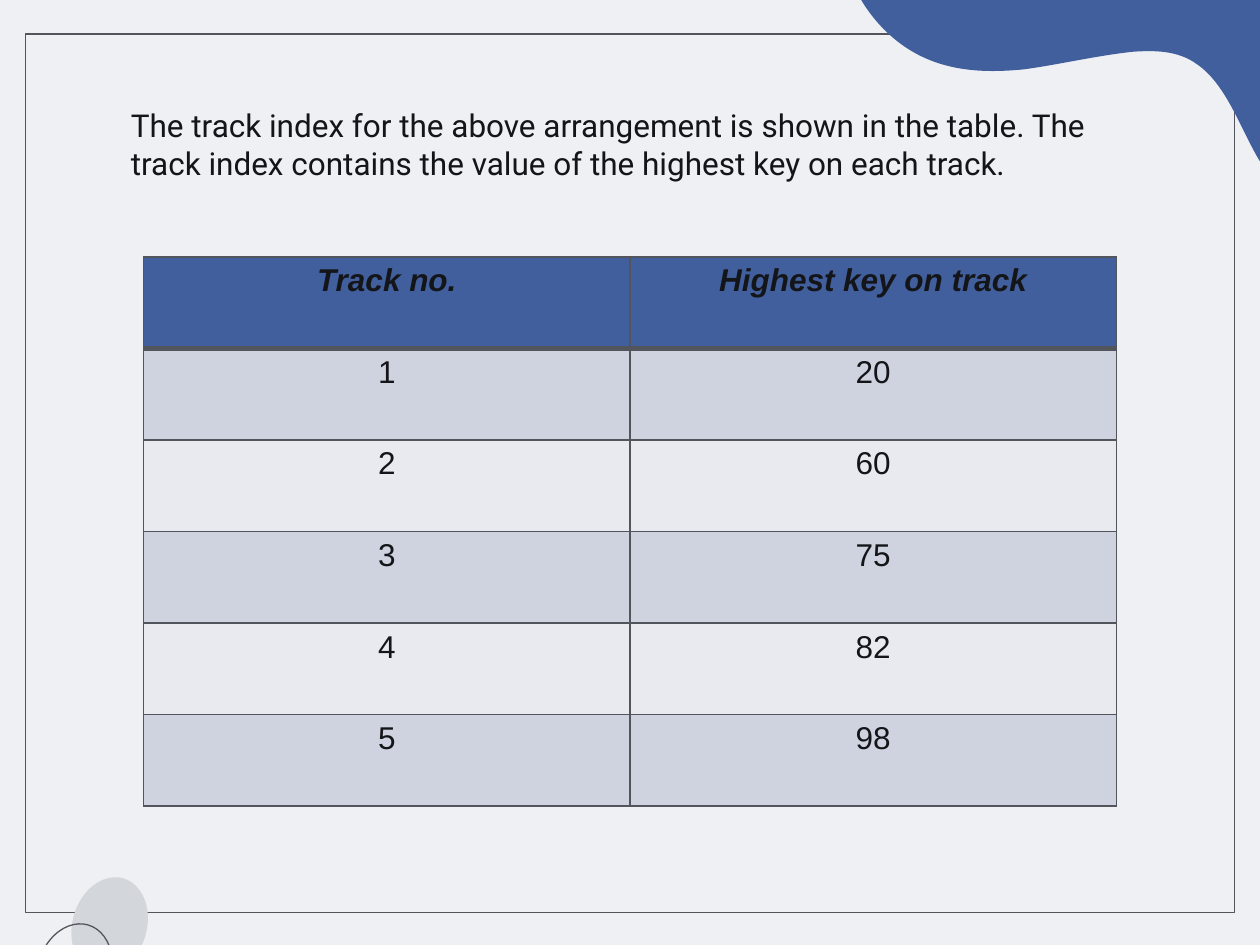
"""Build a slide showing a track index table inside a decorated frame."""
import pptx
import pptx.util
import pptx.dml.color
import pptx.enum.shapes
import pptx.enum.text
import pptx.oxml
import lxml.etree

PX = 9144
RGBColor = pptx.dml.color.RGBColor
BACKGROUND = RGBColor(0xEF, 0xF0, 0xF4)
INK = RGBColor(0x13, 0x15, 0x18)
BLUE = RGBColor(0x42, 0x5F, 0x9D)
OUTLINE = RGBColor(0x52, 0x55, 0x5C)
GREY = RGBColor(0xD3, 0xD6, 0xDB)
BAND_DARK = RGBColor(0xCF, 0xD2, 0xDF)
BAND_LIGHT = RGBColor(0xE9, 0xEA, 0xEF)
NAMESPACE = "http://schemas.openxmlformats.org/drawingml/2006/main"


def write_text(frame, text, font="Arial", align=None, emphasis=False):
    paragraph = frame.paragraphs[0]
    paragraph.alignment = align
    run = paragraph.add_run()
    run.text = text
    run.font.name = font
    run.font.size = pptx.util.Pt(18)
    run.font.color.rgb = INK
    run.font.bold = run.font.italic = emphasis
    return paragraph


def style_shape(shape, fill=None, line=None):
    shape.shadow.inherit = False
    if fill is None:
        shape.fill.background()
    else:
        shape.fill.solid()
        shape.fill.fore_color.rgb = fill
    if line is None:
        shape.line.fill.background()
    else:
        shape.line.color.rgb = line
        shape.line.width = pptx.util.Pt(0.75)


presentation = pptx.Presentation()
presentation.slide_width = 1000 * PX
presentation.slide_height = 750 * PX
slide = presentation.slides.add_slide(presentation.slide_layouts[6])
slide.background.fill.solid()
slide.background.fill.fore_color.rgb = BACKGROUND

shape_type = pptx.enum.shapes.MSO_SHAPE
frame = slide.shapes.add_shape(shape_type.RECTANGLE, 20 * PX, 27 * PX, 960 * PX, 697 * PX)
style_shape(frame, line=OUTLINE)

wave_left, wave_top, wave_width, wave_height = 667, -100, 521, 289
wave_start = (1174, 107)
wave_curves = [
    ((1156, 159), (1117, 199), (1071, 187)),
    ((1042, 180), (1015, 155), (997, 123)),
    ((983, 98), (972, 66), (950, 51)),
    ((935, 40), (917, 40), (900, 41)),
    ((871, 44), (842, 51), (813, 55)),
    ((783, 58), (753, 57), (726, 42)),
    ((699, 27), (675, -3), (668, -41)),
    ((665, -58), (667, -79), (677, -91)),
    ((686, -100), (698, -101), (709, -100)),
    ((862, -100), (1014, -99), (1167, -98)),
    ((1169, -98), (1172, -98), (1173, -96)),
    ((1175, -94), (1175, -92), (1176, -89)),
    ((1185, -37), (1192, 17), (1184, 69)),
    ((1182, 82), (1179, 95), (1174, 107)),
]
builder = slide.shapes.build_freeform(*wave_start, scale=PX)
builder.add_line_segments([curve[-1] for curve in wave_curves], close=True)
wave = builder.convert_to_shape()
wave.left, wave.top = wave_left * PX, wave_top * PX
wave.width, wave.height = wave_width * PX, wave_height * PX
outline = next(wave._element.iter(f"{{{NAMESPACE}}}path"))
outline.set("w", str(wave_width))
outline.set("h", str(wave_height))
segments = [(wave_start,)] + wave_curves
for element, points in zip(list(outline), segments):
    element.tag
    segment = lxml.etree.Element(
        f"{{{NAMESPACE}}}" + ("moveTo" if len(points) == 1 else "cubicBezTo"))
    for x, y in points:
        lxml.etree.SubElement(segment, f"{{{NAMESPACE}}}pt",
                              x=str(x - wave_left), y=str(y - wave_top))
    outline.replace(element, segment)
style_shape(wave, fill=BLUE)

for left, top, fill, line in ((48, 705, GREY, None), (20, 742, None, OUTLINE)):
    pebble = slide.shapes.add_shape(shape_type.OVAL, left * PX, top * PX, 78 * PX, 59 * PX)
    pebble.rotation = 106.3
    style_shape(pebble, fill, line)

introduction = slide.shapes.add_textbox(79 * PX, 74 * PX, 842 * PX, 89 * PX)
text_frame = introduction.text_frame
text_frame.word_wrap = True
text_frame.margin_left = text_frame.margin_right = 10 * PX
text_frame.margin_top = text_frame.margin_bottom = 10 * PX
paragraph = write_text(
    text_frame,
    "The track index for the above arrangement is shown in the table. "
    "The track index contains the value of the highest key on each track.",
    font="Roboto", align=pptx.enum.text.PP_ALIGN.LEFT)
paragraph_properties = paragraph._p.get_or_add_pPr()
paragraph_properties.set("marL", str(15 * PX))
paragraph_properties.set("indent", "0")

track_rows = [("Track no.", "Highest key on track"),
              ("1", "20"), ("2", "60"), ("3", "75"), ("4", "82"), ("5", "98")]
table_frame = slide.shapes.add_table(len(track_rows), 2, 114 * PX, 204 * PX, 772 * PX, 436 * PX)
table = table_frame.table
for row_index, values in enumerate(track_rows):
    is_header = row_index == 0
    band = BLUE if is_header else BAND_DARK if row_index % 2 else BAND_LIGHT
    for column_index, value in enumerate(values):
        cell = table.cell(row_index, column_index)
        write_text(cell.text_frame, value, align=pptx.enum.text.PP_ALIGN.CENTER,
                   emphasis=is_header)
        cell_properties = cell._tc.get_or_add_tcPr()
        for side in "LRTB":
            heavy = (row_index, side) in ((0, "B"), (1, "T"))
            width = pptx.util.Pt(3 if heavy else 1)
            cell_properties.append(pptx.oxml.parse_xml(
                f'<a:ln{side} xmlns:a="{NAMESPACE}" w="{width}"><a:solidFill>'
                f'<a:srgbClr val="{OUTLINE}"/></a:solidFill></a:ln{side}>'))
        cell.fill.solid()
        cell.fill.fore_color.rgb = band

presentation.save("out.pptx")
